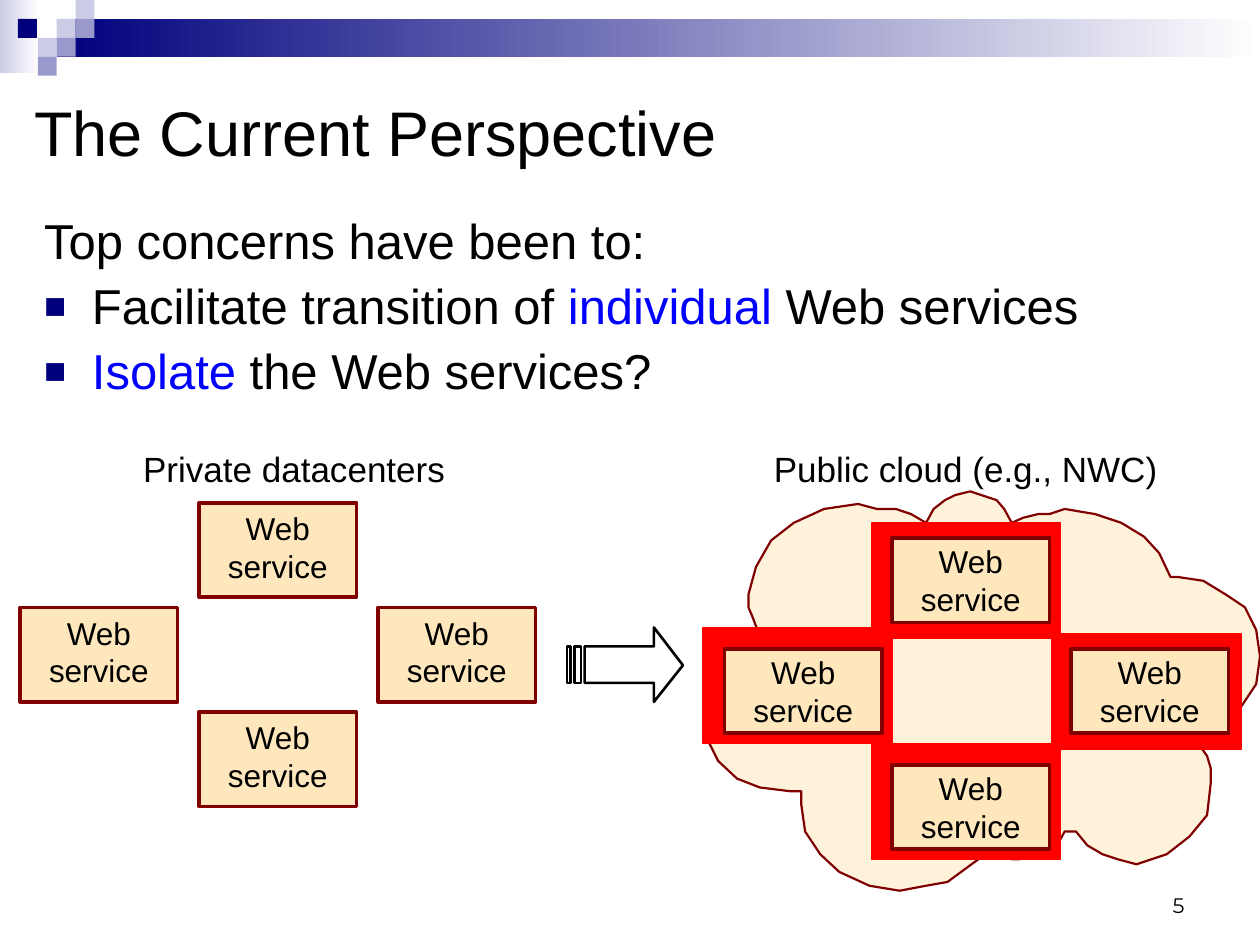
import pptx
import pptx.dml.color
import pptx.enum.shapes
import pptx.enum.text
import pptx.util
from lxml import etree
from pptx.util import Inches, Pt

COLORS = {
    "navy": "00007D", "lavender": "CCCCE6", "violet": "9999CC", "white": "FFFFFF",
    "black": "000000", "blue": "0000FF", "red": "FF0000", "maroon": "800000",
    "cloud": "FFF2DB", "service": "FFE7BD",
}
ALIGN = pptx.enum.text.PP_ALIGN
ANCHOR = pptx.enum.text.MSO_ANCHOR

TITLE = "The Current Perspective"
CONCERNS = [
    [("Top concerns have been to:", "black")],
    [("Facilitate transition of ", "black"), ("individual ", "blue"), ("Web services", "black")],
    [("Isolate ", "blue"), ("the Web services?", "black")],
]
SERVICE = "Web service"
CAPTIONS = [("Public cloud (e.g., NWC)", 6, 3.33), ("Private datacenters", 1, 2.67)]

BANDS = [((0, 0, 0.31, 0.58), "lavender"), ((0.45, 0.15, 9.55, 0.3), "navy")]
SQUARE = 0.15
SQUARES = [
    (3, 1, "lavender"), (4, 0, "lavender"), (4, 1, "violet"), (2, 2, "lavender"),
    (0.95, 1, "navy"), (3, 2, "violet"), (2, 3, "violet"),
]

FENCE_SIZE = (1.5, 0.92)
FENCES = [(5.58, 4.98), (6.92, 5.9), (8.35, 5.03), (6.92, 4.15)]
CLOUD_SERVICE_SIZE = (1.25, 0.67)
CLOUD_SERVICES = [(8.5, 5.15), (7.08, 4.27), (5.75, 5.15), (7.08, 6.07)]
PRIVATE_SERVICE_SIZE = (1.25, 0.75)
PRIVATE_CENTER = (1.58, 4.82)
PRIVATE_STEP = (1.42, 0.83)
DIRECTIONS = [(-1, 0), (0, -1), (0, 1), (1, 0)]

CLOUD = [
    (6.03, 5.04), (6, 4.97), (5.97, 4.89), (5.94, 4.82), (5.94, 4.72), (6, 4.5),
    (6.12, 4.29), (6.3, 4.15), (6.54, 4.04), (6.81, 4), (6.96, 4.04), (7.11, 4.04),
    (7.23, 4.08), (7.35, 4.15), (7.41, 4.04), (7.5, 3.97), (7.58, 3.93), (7.7, 3.9),
    (7.79, 3.93), (7.91, 3.97), (7.97, 4.04), (8.03, 4.15), (8.12, 4.11), (8.24, 4.08),
    (8.33, 4.08), (8.45, 4.04), (8.69, 4.08), (8.9, 4.15), (9.08, 4.26), (9.2, 4.39),
    (9.29, 4.58), (9.35, 4.58), (9.55, 4.61), (9.73, 4.72), (9.88, 4.82), (9.97, 5),
    (10, 5.21), (9.97, 5.43), (9.85, 5.61), (9.7, 5.75), (9.5, 5.86), (9.47, 5.86),
    (9.53, 5.93), (9.58, 6), (9.61, 6.1), (9.61, 6.21), (9.58, 6.47), (9.44, 6.64),
    (9.26, 6.78), (9.02, 6.86), (8.87, 6.82), (8.75, 6.78), (8.63, 6.71), (8.54, 6.6),
    (8.45, 6.6), (8.39, 6.71), (8.3, 6.75), (8.21, 6.78), (8.09, 6.82), (8.03, 6.82),
    (7.97, 6.78), (7.91, 6.75), (7.82, 6.75), (7.82, 6.78), (7.67, 6.89), (7.52, 7),
    (7.35, 7.03), (7.14, 7.07), (6.9, 7.03), (6.66, 6.92), (6.51, 6.78), (6.39, 6.6),
    (6.36, 6.39), (6.36, 6.28), (6.27, 6.28), (6.03, 6.25), (5.85, 6.18), (5.7, 6.04),
    (5.61, 5.86), (5.58, 5.64), (5.61, 5.43), (5.7, 5.29), (5.85, 5.15),
]
ARROW_HEAD = [
    (5.19, 4.98), (5.19, 5.13), (4.64, 5.13), (4.64, 5.42),
    (5.19, 5.42), (5.19, 5.57), (5.42, 5.28),
]
ARROW_STRIPES = [(4.56, 4.61), (4.5, 4.53)]


def color(name):
    return pptx.dml.color.RGBColor.from_string(COLORS[name])


def paint(shape, fill, line=None, width=0):
    shape.shadow.inherit = False
    shape.fill.solid()
    shape.fill.fore_color.rgb = color(fill)
    if line:
        shape.line.color.rgb = color(line)
        shape.line.width = Pt(width)
    else:
        shape.line.fill.background()


def place(shape, *box):
    shape.left, shape.top, shape.width, shape.height = map(Inches, box)


def add_box(slide, box, fill, line=None, width=0):
    rectangle = pptx.enum.shapes.MSO_SHAPE.RECTANGLE
    shape = slide.shapes.add_shape(rectangle, *map(Inches, box))
    paint(shape, fill, line, width)
    return shape


def add_outline(slide, contours, fill, line, width):
    contours = [[(Inches(x), Inches(y)) for x, y in contour] for contour in contours]
    builder = slide.shapes.build_freeform(*contours[0][0])
    for index, contour in enumerate(contours):
        if index:
            builder.move_to(*contour[0])
        builder.add_line_segments(contour[1:], close=True)
    paint(builder.convert_to_shape(), fill, line, width)


def write(shape, text, size, align, anchor, font="Arial"):
    frame = shape.text_frame
    frame.word_wrap = True
    frame.vertical_anchor = anchor
    paragraph = frame.paragraphs[0]
    paragraph.text = text
    paragraph.alignment = align
    paragraph.font.size = Pt(size)
    paragraph.font.name = font
    paragraph.font.color.rgb = color("black")


def add_text(slide, box, *style):
    write(slide.shapes.add_textbox(*map(Inches, box)), *style)


def add_service(slide, position, size, anchor):
    shape = add_box(slide, position + size, "service", "maroon", 2)
    write(shape, SERVICE, 18, ALIGN.CENTER, anchor)


def set_bullet(paragraph, visible):
    properties = paragraph._p.get_or_add_pPr()
    properties.set("marL", str(Inches(0.38)))
    properties.set("indent", str(Inches(-0.38)))
    namespace = pptx.oxml.ns.qn
    if not visible:
        etree.SubElement(properties, namespace("a:buNone"))
        return
    bullet_color = etree.SubElement(properties, namespace("a:buClr"))
    etree.SubElement(bullet_color, namespace("a:srgbClr"), val=COLORS["navy"])
    etree.SubElement(properties, namespace("a:buSzPct"), val="75000")
    etree.SubElement(properties, namespace("a:buFont"), typeface="Arial")
    etree.SubElement(properties, namespace("a:buChar"), char="■")


def fill_concerns(body):
    place(body, 0.25, 1.67, 9.58, 3.25)
    frame = body.text_frame
    for index, parts in enumerate(CONCERNS):
        paragraph = frame.add_paragraph() if index else frame.paragraphs[0]
        set_bullet(paragraph, index > 0)
        paragraph.line_spacing = 0.9
        paragraph.space_before = Pt(7 if index else 0)
        paragraph.font.size = Pt(28)
        paragraph.font.name = "Arial"
        for text, name in parts:
            run = paragraph.add_run()
            run.text = text
            run.font.color.rgb = color(name)


def add_decoration(slide):
    for box, name in BANDS:
        band = add_box(slide, box, name)
        band.fill.gradient()
        band.fill.gradient_angle = 0
        for stop, stop_name in zip(band.fill.gradient_stops, (name, "white")):
            stop.color.rgb = color(stop_name)
    for column, row, name in SQUARES:
        add_box(slide, (column * SQUARE, row * SQUARE, SQUARE, SQUARE), name)


def main():
    """Build the slide on moving web services to a public cloud."""
    presentation = pptx.Presentation()
    presentation.slide_width, presentation.slide_height = Inches(10), Inches(7.5)
    slide = presentation.slides.add_slide(presentation.slide_layouts[1])
    title, body = slide.placeholders
    add_decoration(slide)
    place(title, 0.17, 0.5, 9.5, 1.08)
    write(title, TITLE, 36, ALIGN.LEFT, ANCHOR.MIDDLE)
    fill_concerns(body)
    add_text(slide, (7.17, 6.83, 2.33, 0.5), "5", 12, ALIGN.RIGHT, ANCHOR.BOTTOM, "Montserrat")

    add_outline(slide, [CLOUD], "cloud", "maroon", 1.25)
    for position in FENCES:
        add_box(slide, position + FENCE_SIZE, "red", "red", 0.75)
    for position in CLOUD_SERVICES:
        add_service(slide, position, CLOUD_SERVICE_SIZE, ANCHOR.MIDDLE)
    stripes = [[(left, 5.13), (left, 5.42), (right, 5.42), (right, 5.13)]
               for left, right in ARROW_STRIPES]
    add_outline(slide, [ARROW_HEAD] + stripes, "white", "black", 1.5)
    for direction in DIRECTIONS:
        position = tuple(center + way * step for center, way, step
                         in zip(PRIVATE_CENTER, direction, PRIVATE_STEP))
        add_service(slide, position, PRIVATE_SERVICE_SIZE, ANCHOR.TOP)
    for text, left, width in CAPTIONS:
        add_text(slide, (left, 3.5, width, 0.44), text, 20, ALIGN.CENTER, ANCHOR.TOP)
    presentation.save("out.pptx")


if __name__ == "__main__":
    main()
